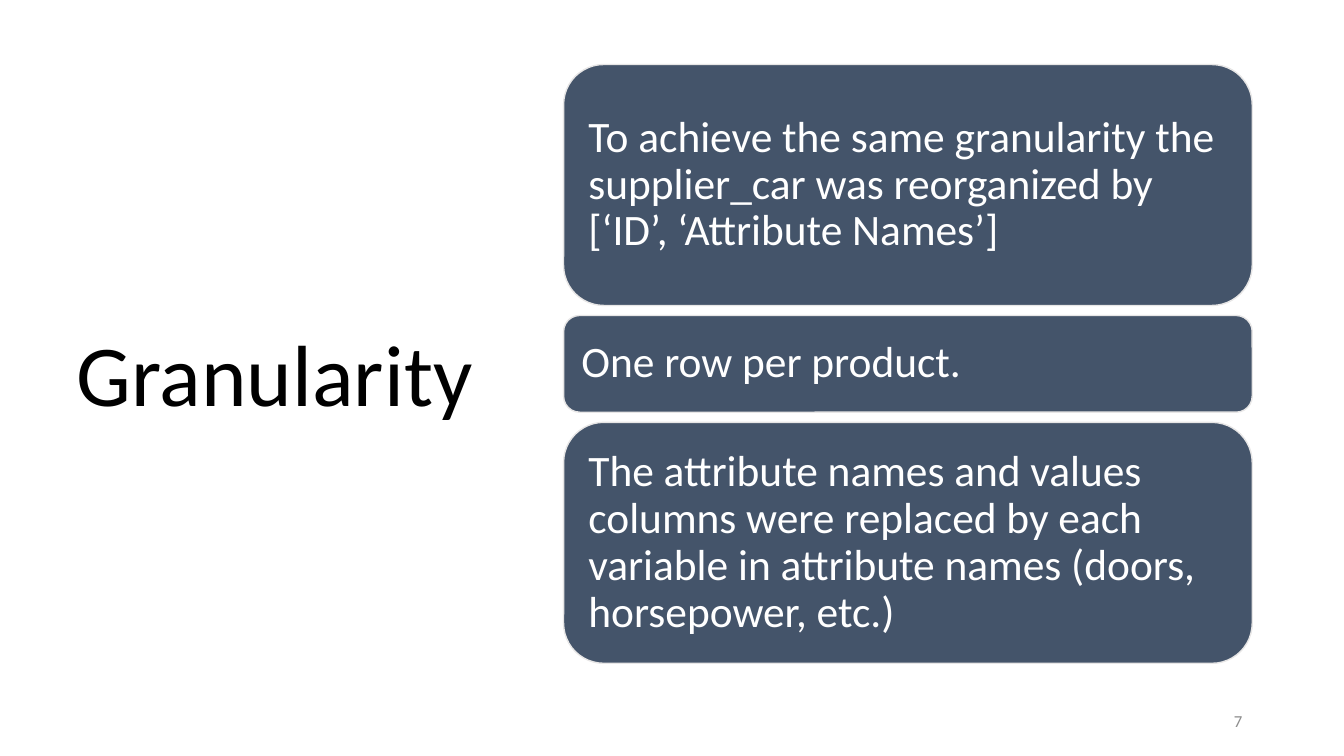
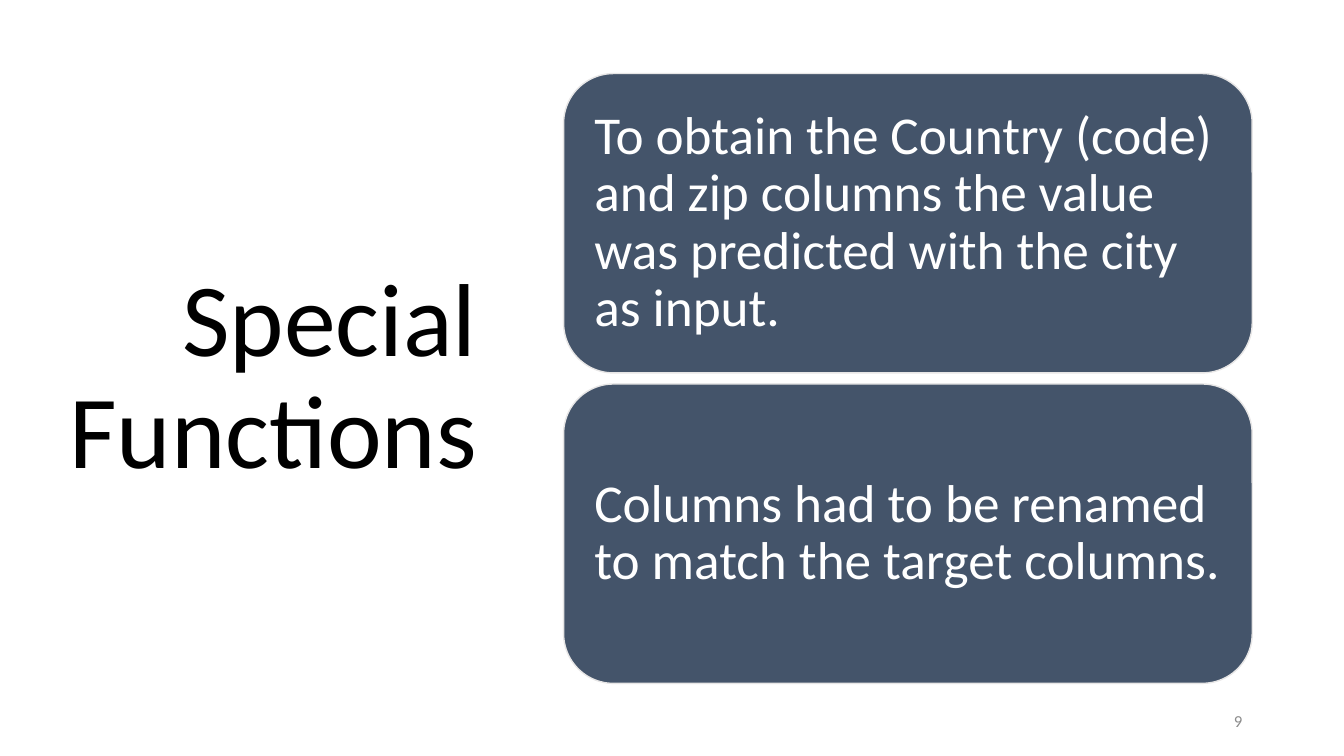
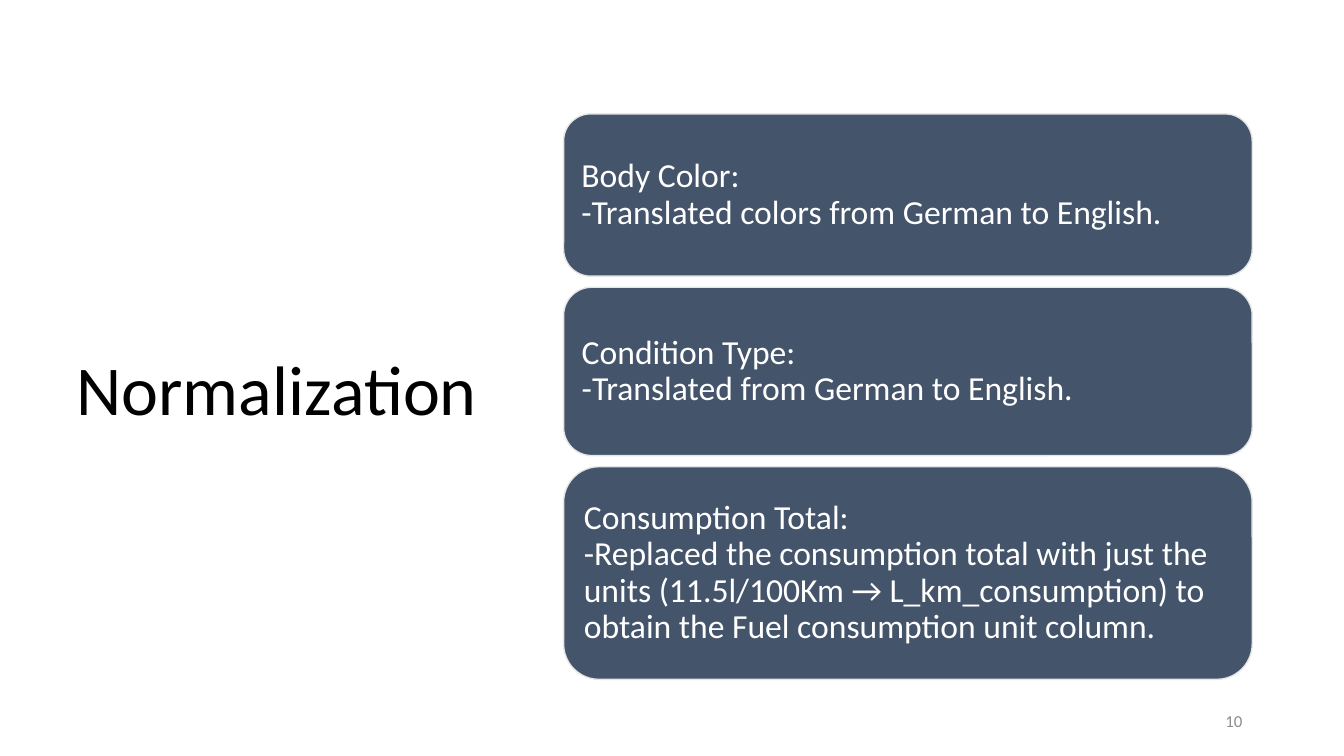
import pptx
import pptx.util
import pptx.dml.color
import pptx.enum.shapes
import pptx.enum.text
from dataclasses import dataclass

Inches = pptx.util.Inches
Pt = pptx.util.Pt
RGB = pptx.dml.color.RGBColor.from_string
Align = pptx.enum.text.PP_ALIGN


@dataclass(frozen=True)
class Theme:
    """Colours, font and type sizes of the deck."""
    font: str = "Calibri"
    title: str = "000000"
    card: str = "44546A"
    edge: str = "E7E6E6"
    text: str = "FFFFFF"
    foot: str = "8C8C8C"
    foot_size: int = 12
    title_sizes: tuple = (62, 74, 50)
    card_sizes: tuple = (31, 38, 24)


theme = Theme()


def write(shape, text, size, color, align, space=0.9):
    """Put one paragraph of styled text, centred in height, in a shape."""
    frame = shape.text_frame
    frame.word_wrap = True
    frame.vertical_anchor = pptx.enum.text.MSO_ANCHOR.MIDDLE
    para = frame.paragraphs[0]
    para.text = text
    para.alignment = align
    para.line_spacing = space
    for run in para.runs:
        run.font.name = theme.font
        run.font.size = Pt(size)
        run.font.color.rgb = RGB(color)


# Each page: number, title, title left and top, first card top, gap, inset,
# then its cards as (height, text).
pages = [
    (7, "Granularity", 0.48, 0.7, 0.64, 0.1, 0.13, [
        (2.39, "To achieve the same granularity the supplier_car was "
               "reorganized by [‘ID’, ‘Attribute Names’]"),
        (0.96, "One row per product."),
        (2.39, "The attribute names and values columns were replaced by "
               "each variable in attribute names (doors, horsepower, etc.)"),
    ]),
    (9, "Special Functions", 0.52, 0.7, 0.73, 0.11, 0.16, [
        (2.97, "To obtain the Country (code) and zip columns the value was "
               "predicted with the city as input."),
        (2.97, "Columns had to be renamed to match the target columns."),
    ]),
    (10, "Normalization", 0.52, 0.84, 1.13, 0.11, 0.1, [
        (1.61, "Body Color:\n-Translated colors from German to English."),
        (1.67, "Condition Type:\n-Translated from German to English."),
        (2.11, "Consumption Total:\n-Replaced the consumption total with "
               "just the units (11.5l/100Km → L_km_consumption) to obtain "
               "the Fuel consumption unit column."),
    ]),
]

deck = pptx.Presentation()
deck.slide_width = Inches(13.33)
deck.slide_height = Inches(7.5)
blank = deck.slide_layouts[6]

for page, title_size, card_size in zip(pages, theme.title_sizes, theme.card_sizes):
    number, title, left, head, top, gap, inset, cards = page
    shapes = deck.slides.add_slide(blank).shapes

    foot = shapes.add_textbox(Inches(9.42), Inches(6.95), Inches(3), Inches(0.4))
    write(foot, str(number), theme.foot_size, theme.foot, Align.RIGHT, 1.0)

    box = shapes.add_textbox(Inches(left), Inches(head), Inches(4.31), Inches(6.11))
    write(box, title, title_size, theme.title, Align.RIGHT)

    for height, text in cards:
        card = shapes.add_shape(
            pptx.enum.shapes.MSO_SHAPE.ROUNDED_RECTANGLE,
            Inches(5.59), Inches(top), Inches(6.83), Inches(height))
        card.shadow.inherit = False
        card.fill.solid()
        card.fill.fore_color.rgb = RGB(theme.card)
        card.line.color.rgb = RGB(theme.edge)
        card.line.width = Pt(1)
        frame = card.text_frame
        frame.margin_left = frame.margin_right = Inches(inset)
        frame.margin_top = frame.margin_bottom = Inches(inset)
        write(card, text, card_size, theme.text, Align.LEFT)
        top += height + gap

deck.save("out.pptx")
